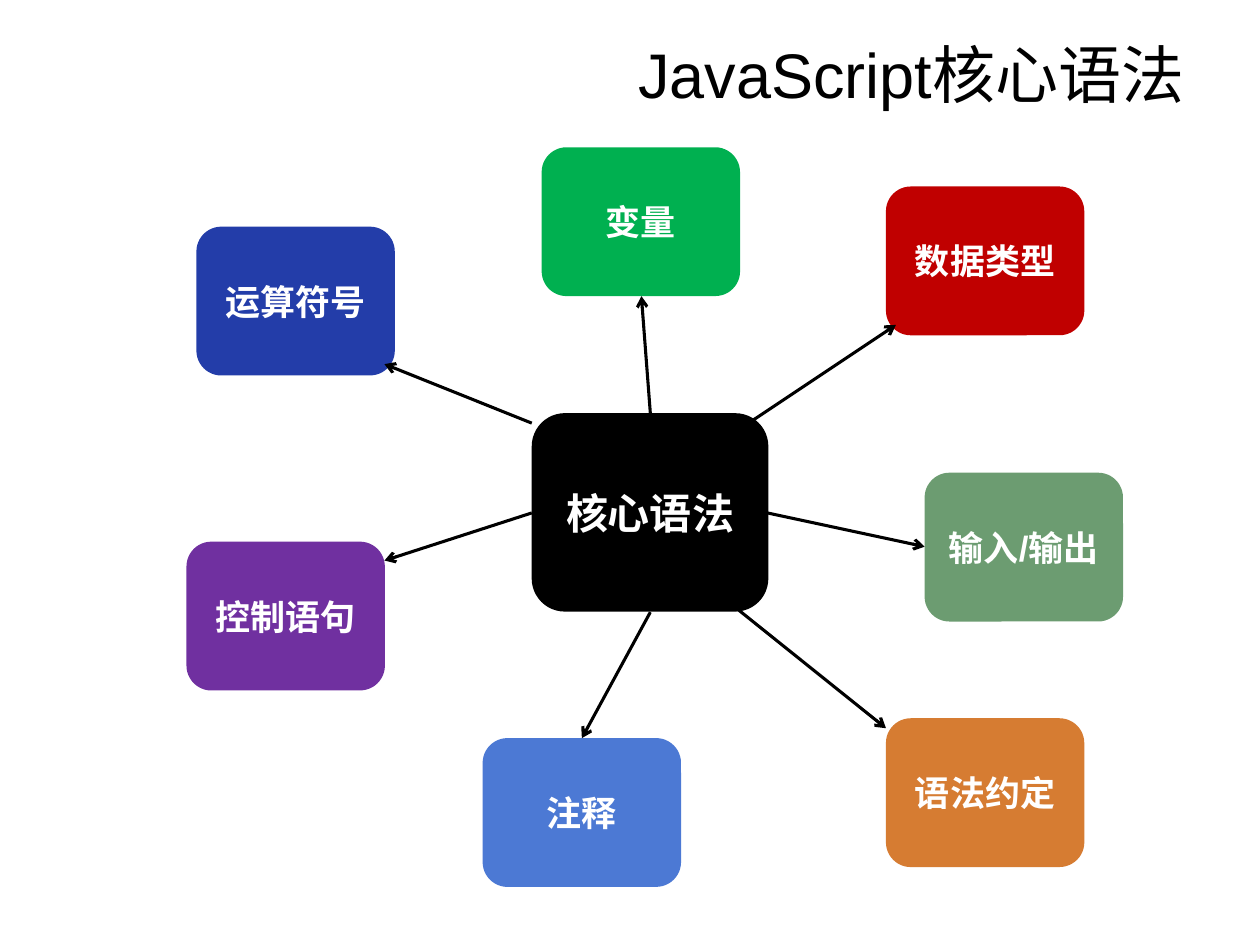
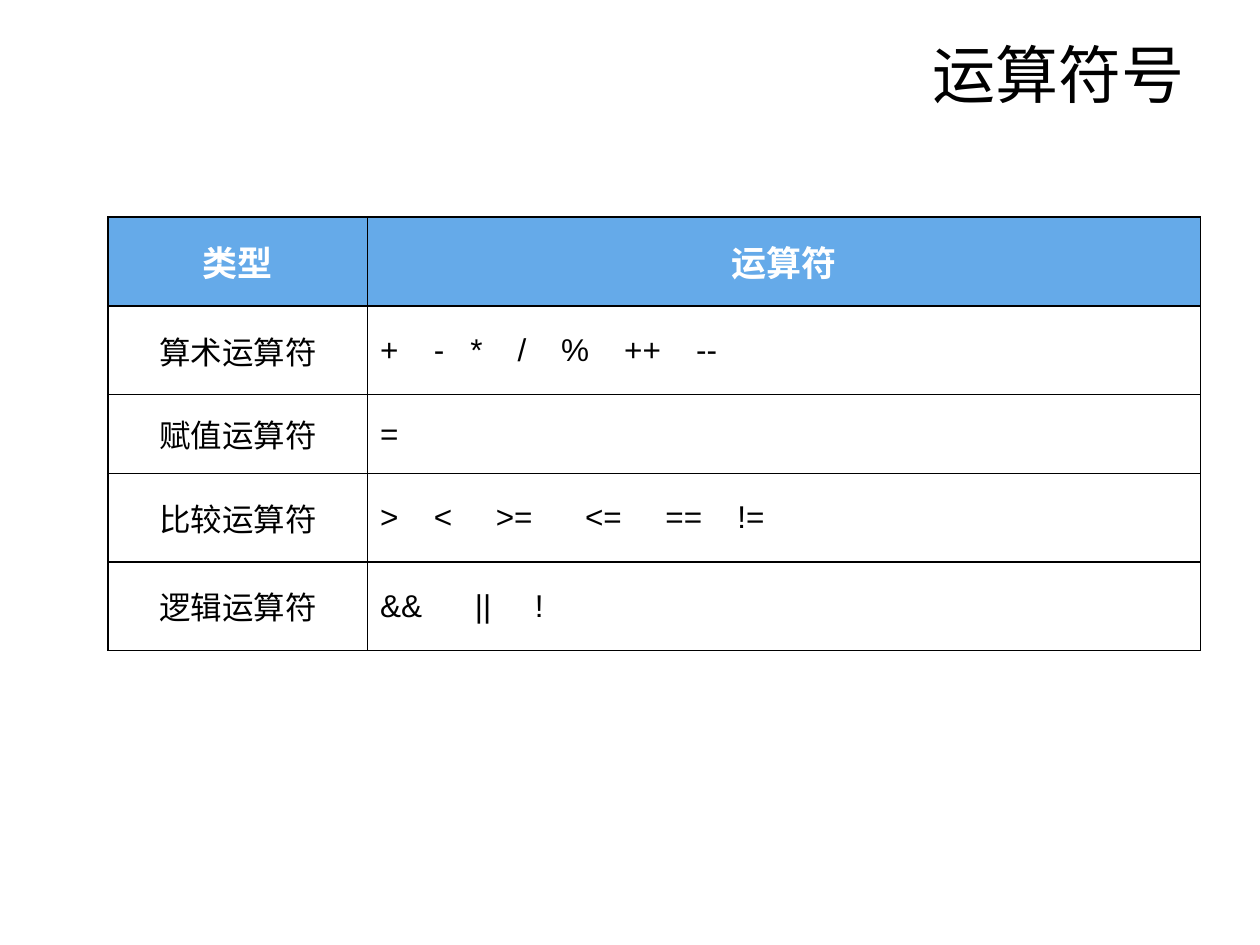
from lxml import etree
from pptx import Presentation
from pptx.dml.color import RGBColor
from pptx.enum.shapes import MSO_CONNECTOR, MSO_SHAPE
from pptx.enum.text import MSO_ANCHOR, MSO_AUTO_SIZE, PP_ALIGN
from pptx.oxml.ns import qn
from pptx.util import Cm, Pt

ROUNDED = MSO_SHAPE.ROUNDED_RECTANGLE
STRAIGHT = MSO_CONNECTOR.STRAIGHT
TOP, MIDDLE = MSO_ANCHOR.TOP, MSO_ANCHOR.MIDDLE
LEFT, CENTER, RIGHT = PP_ALIGN.LEFT, PP_ALIGN.CENTER, PP_ALIGN.RIGHT
FIXED = MSO_AUTO_SIZE.NONE

FONT = "Arial"
BLACK, WHITE, HEADER_BLUE = "000000", "FFFFFF", "65AAE9"
TITLE_ONLY = 5
TOPIC_SIZE = (4, 3)

CORE = ("核心语法", BLACK, (10.72, 8.33), (4.77, 4))
TOPICS = [
    ("数据类型", "C00000", (17.86, 3.76)),
    ("变量", "00B050", (10.92, 2.97)),
    ("运算符号", "233DA9", (3.96, 4.57)),
    ("控制语句", "7030A0", (3.76, 10.92)),
    ("注释", "4C79D4", (9.73, 14.88)),
    ("语法约定", "D67C32", (17.86, 14.48)),
    ("输入/输出", "6C9C71", (18.64, 9.53)),
]
ARROWS = [
    ((13.11, 8.33), (12.93, 5.97)),
    ((15.09, 8.53), (18.06, 6.55)),
    ((15.47, 10.34), (18.64, 11.02)),
    ((14.88, 12.29), (17.86, 14.68)),
    ((13.11, 12.34), (11.73, 14.88)),
    ((10.72, 10.34), (7.75, 11.3)),
    ((10.72, 8.53), (7.75, 7.34)),
]

HEADINGS = ["类型", "运算符"]
OPERATORS = [
    ("算术运算符", ["+", "-", "*", "/", "%", "++", "--"],
     [1.08, 1.82, 2.77, 3.65, 4.92, 6.37]),
    ("赋值运算符", ["="], []),
    ("比较运算符", [">", "<", ">=", "<=", "==", "!="],
     [1.08, 2.33, 4.13, 5.75, 7.2]),
    ("逻辑运算符", ["&&", "||", "!"], [1.91, 3.12]),
]
COLUMN_WIDTHS = [5.23, 16.79]
ROW_HEIGHTS = [1.8, 1.78, 1.6, 1.78, 1.78]


def rgb(value):
    return RGBColor.from_string(value)


def write(frame, text, size=20, color=BLACK, bold=False, align=CENTER,
          tabs=(), spacing=None):
    frame.word_wrap = True
    paragraph = frame.paragraphs[0]
    if tabs:
        stops = etree.SubElement(paragraph._p.get_or_add_pPr(), qn("a:tabLst"))
        for position in tabs:
            etree.SubElement(stops, qn("a:tab"), pos=str(Cm(position)), algn="l")
    paragraph.alignment = align
    if spacing:
        paragraph.line_spacing = spacing
    run = paragraph.add_run()
    run.text = text
    run.font.name = FONT
    run.font.size = Pt(size)
    run.font.bold = bold
    run.font.color.rgb = rgb(color)


def add_titled_slide(deck, heading):
    slide = deck.slides.add_slide(deck.slide_layouts[TITLE_ONLY])
    title = slide.shapes.title
    title.left, title.top = Cm(1.27), Cm(0.76)
    title.width, title.height = Cm(22.86), Cm(3.18)
    title.text_frame.auto_size = FIXED
    title.text_frame.vertical_anchor = TOP
    write(title.text_frame, heading, size=36, align=RIGHT, spacing=0.9)
    return slide


def add_topic(slide, label, color, corner, extent=TOPIC_SIZE, size=20):
    topic = slide.shapes.add_shape(ROUNDED, *map(Cm, corner + extent))
    topic.shadow.inherit = False
    topic.fill.solid()
    topic.fill.fore_color.rgb = rgb(color)
    topic.line.fill.background()
    topic.text_frame.vertical_anchor = MIDDLE
    write(topic.text_frame, label, size=size, color=WHITE, bold=True)


def add_arrow(slide, start, end):
    arrow = slide.shapes.add_connector(STRAIGHT, *map(Cm, start + end))
    arrow.line.color.rgb = rgb(BLACK)
    arrow.line.width = Pt(1.75)
    etree.SubElement(arrow.line._get_or_add_ln(), qn("a:tailEnd"), type="arrow")
    etree.SubElement(arrow._element.spPr, qn("a:effectLst"))


def add_borders(cell):
    properties = cell._tc.get_or_add_tcPr()
    for side in ("a:lnL", "a:lnR", "a:lnT", "a:lnB"):
        border = etree.SubElement(properties, qn(side), w=str(Pt(1)))
        fill = etree.SubElement(border, qn("a:solidFill"))
        etree.SubElement(fill, qn("a:srgbClr"), val=BLACK)


def fill_cell(cell, text, background=None, **text_format):
    add_borders(cell)
    if background:
        cell.fill.solid()
        cell.fill.fore_color.rgb = rgb(background)
    else:
        cell.fill.background()
    cell.vertical_anchor = MIDDLE
    write(cell.text_frame, text, **text_format)


def add_operator_table(slide):
    table = slide.shapes.add_table(
        len(ROW_HEIGHTS), len(COLUMN_WIDTHS), Cm(2.18), Cm(4.37),
        Cm(sum(COLUMN_WIDTHS)), Cm(sum(ROW_HEIGHTS))).table
    for column, width in zip(table.columns, COLUMN_WIDTHS):
        column.width = Cm(width)
    for row, height in zip(table.rows, ROW_HEIGHTS):
        row.height = Cm(height)
    for index, heading in enumerate(HEADINGS):
        fill_cell(table.cell(0, index), heading, HEADER_BLUE,
                  color=WHITE, bold=True)
    for index, (category, symbols, tabs) in enumerate(OPERATORS, 1):
        fill_cell(table.cell(index, 0), category, size=18)
        fill_cell(table.cell(index, 1), "\t".join(symbols), size=18,
                  align=LEFT, tabs=tabs)


def main():
    deck = Presentation()
    deck.slide_width, deck.slide_height = Cm(25.4), Cm(19.05)

    overview = add_titled_slide(deck, "JavaScript核心语法")
    add_topic(overview, *CORE, size=24)
    for topic in TOPICS:
        add_topic(overview, *topic)
    for start, end in ARROWS:
        add_arrow(overview, start, end)

    add_operator_table(add_titled_slide(deck, "运算符号"))
    deck.save("out.pptx")


if __name__ == "__main__":
    main()
